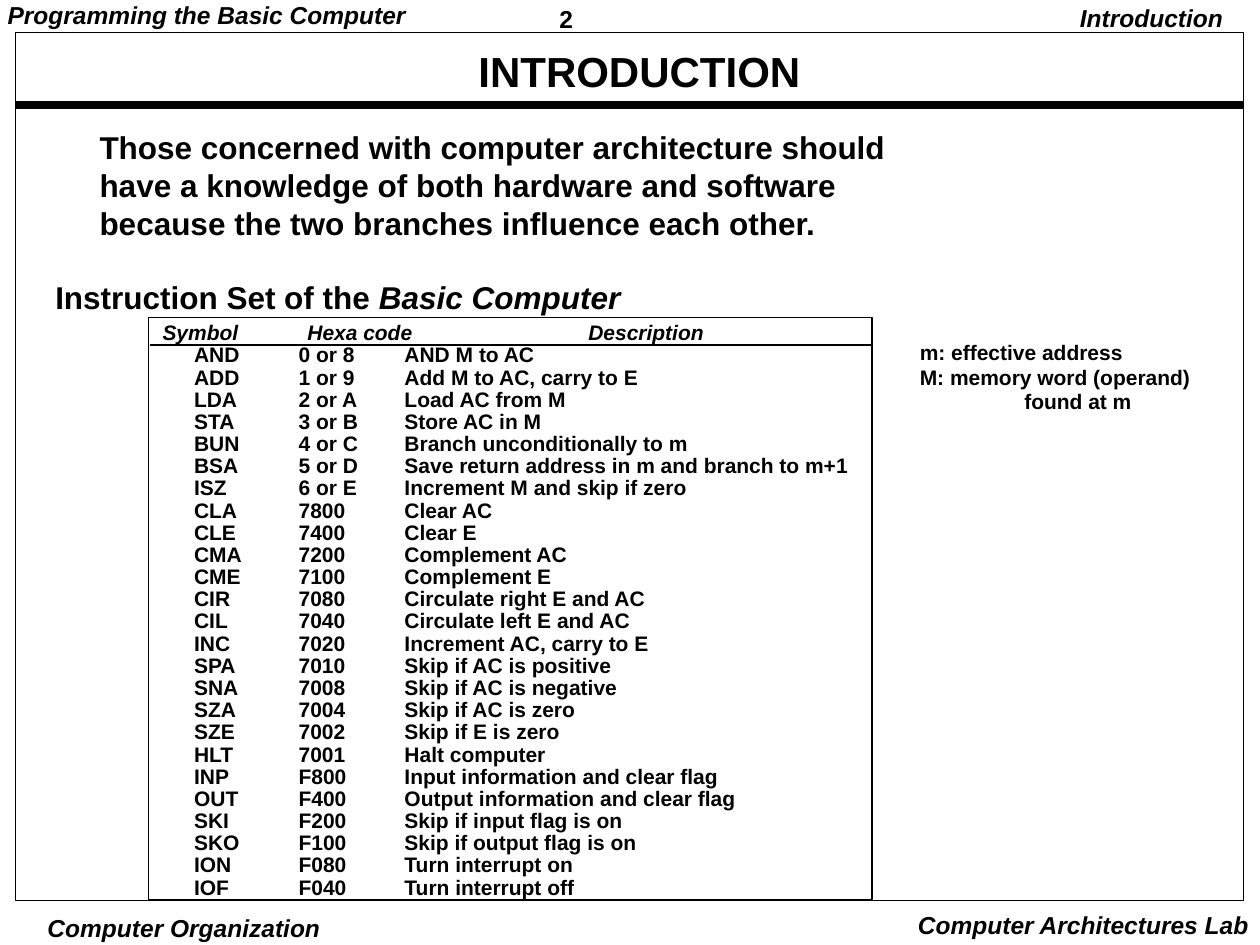
"""Build the introduction slide with the instruction set of the Basic Computer."""
from lxml.etree import SubElement
from pptx import Presentation
from pptx.dml.color import RGBColor
from pptx.enum.shapes import MSO_CONNECTOR, MSO_SHAPE
from pptx.enum.text import MSO_ANCHOR, MSO_AUTO_SIZE, PP_ALIGN
from pptx.oxml.ns import qn
from pptx.util import Inches, Pt

BLACK = RGBColor(0, 0, 0)
WHITE = RGBColor(255, 255, 255)
LEFT, MID, RIGHT = PP_ALIGN.LEFT, PP_ALIGN.CENTER, PP_ALIGN.RIGHT
TIGHT, SLIM, WIDE = (0.03, 0.01), (0.07, 0.03), (0.1, 0.05)

deck = Presentation()
deck.slide_width = Inches(10)
deck.slide_height = Inches(7.5)
slide = deck.slides.add_slide(deck.slide_layouts[6])
slide.background.fill.solid()
slide.background.fill.fore_color.rgb = WHITE


def add_text(place, lines, size, pad=SLIM, space=1.0, align=LEFT):
    box = slide.shapes.add_textbox(*map(Inches, place))
    frame = box.text_frame
    frame.word_wrap = False
    frame.auto_size = MSO_AUTO_SIZE.SHAPE_TO_FIT_TEXT
    frame.margin_left = frame.margin_right = Inches(pad[0])
    frame.margin_top = frame.margin_bottom = Inches(pad[1])
    for row, runs in enumerate(lines):
        para = frame.add_paragraph() if row else frame.paragraphs[0]
        para.alignment = align
        para.line_spacing = space
        if any("\t" in words for words, _ in runs):
            tabs = SubElement(para._p.get_or_add_pPr(), qn("a:tabLst"))
            for stop in (0.83, 1.67):
                SubElement(tabs, qn("a:tab"), pos=str(Inches(stop)), algn="l")
        for words, slant in runs:
            run = para.add_run()
            run.text = words
            run.font.name = "Arial"
            run.font.size = Pt(size)
            run.font.bold = True
            run.font.italic = slant
            run.font.color.rgb = BLACK
    return box


def add_rule(start, end, top, width):
    rule = slide.shapes.add_connector(
        MSO_CONNECTOR.STRAIGHT, Inches(start), Inches(top), Inches(end), Inches(top))
    rule.line.color.rgb = BLACK
    rule.line.width = Pt(width)
    SubElement(rule._element.spPr, qn("a:effectLst"))


add_text((4.37, 0, 1.08, 0.29), [[("2", False)]], 14, space=1.01)
add_text((-0.01, 0, 3.4, 0.27), [[("Programming the Basic Computer", True)]], 14, space=0.9)
add_text((0.3, 7.24, 2.32, 0.26), [[("Computer Organization", True)]], 14, TIGHT, align=MID)
add_text((7.18, 7.17, 2.83, 0.33), [[("Computer Architectures Lab", True)]], 14, WIDE, align=RIGHT)
add_text((8.47, 0, 1.39, 0.31), [[("Introduction ", True)]], 14, WIDE, 0.9, RIGHT)

add_rule(0.13, 9.87, 0.83, 4.5)
for place, width in (((0.12, 0.26, 9.75, 6.89), 0.5), ((1.18, 2.52, 5.74, 4.62), 1)):
    frame = slide.shapes.add_shape(MSO_SHAPE.RECTANGLE, *map(Inches, place))
    frame.shadow.inherit = False
    frame.fill.background()
    frame.line.color.rgb = BLACK
    frame.line.width = Pt(width)
add_rule(1.19, 6.93, 2.74, 1)

title = add_text((0.86, 0.38, 8.43, 0.41), [[("INTRODUCTION", False)]], 24, space=0.9, align=MID)
title.text_frame.word_wrap = True
title.text_frame.auto_size = MSO_AUTO_SIZE.NONE
title.text_frame.vertical_anchor = MSO_ANCHOR.MIDDLE

intro = (
    "Those concerned with computer architecture should",
    "have a knowledge of both hardware and software",
    "because the two branches influence each other.",
)
add_text((0.72, 0.98, 6.45, 1.27), [[(line, False)] for line in intro], 18, space=1.01)
add_text((0.34, 2.19, 4.78, 0.37),
         [[("Instruction Set of the ", False), ("Basic Computer", True)]], 18, WIDE, 0.9)

for left, width, head in ((1.22, 0.84, "Symbol"), (2.37, 1.07, "Hexa code"), (4.6, 1.16, "Description")):
    add_text((left, 2.52, width, 0.25), [[(head, True)]], 12, space=0.97)

codes = (
    ("AND", "0 or 8", "AND M to AC"),
    ("ADD", "1 or 9", "Add M to AC, carry to E"),
    ("LDA", "2 or A", "Load AC from M"),
    ("STA", "3 or B", "Store AC in M"),
    ("BUN", "4 or C", "Branch unconditionally to m"),
    ("BSA", "5 or D", "Save return address in m and branch to m+1"),
    ("ISZ", "6 or E", "Increment M and skip if zero"),
    ("CLA", "7800", "Clear AC"),
    ("CLE", "7400", "Clear E"),
    ("CMA", "7200", "Complement AC"),
    ("CME", "7100", "Complement E"),
    ("CIR", "7080", "Circulate right E and AC"),
    ("CIL", "7040", "Circulate left E and AC"),
    ("INC", "7020", "Increment AC, carry to E"),
    ("SPA", "7010", "Skip if AC is positive"),
    ("SNA", "7008", "Skip if AC is negative"),
    ("SZA", "7004", "Skip if AC is zero"),
    ("SZE", "7002", "Skip if E is zero"),
    ("HLT", "7001", "Halt computer"),
    ("INP", "F800", "Input information and clear flag"),
    ("OUT", "F400", "Output information and clear flag"),
    ("SKI", "F200", "Skip if input flag is on"),
    ("SKO", "F100", "Skip if output flag is on"),
    ("ION", "F080", "Turn interrupt on"),
    ("IOF", "F040", "Turn interrupt off"),
)
chart = add_text((0.82, 2.69, 6.11, 4.67), [[("\t".join(code), False)] for code in codes],
                 12, WIDE, 0.88)
chart.text_frame.margin_left = Inches(0.72)

notes = ("m: effective address", "M: memory word (operand)", "\tfound at m")
add_text((7.23, 2.68, 2.33, 0.64), [[(note, False)] for note in notes], 12, space=0.97)

deck.save("out.pptx")
